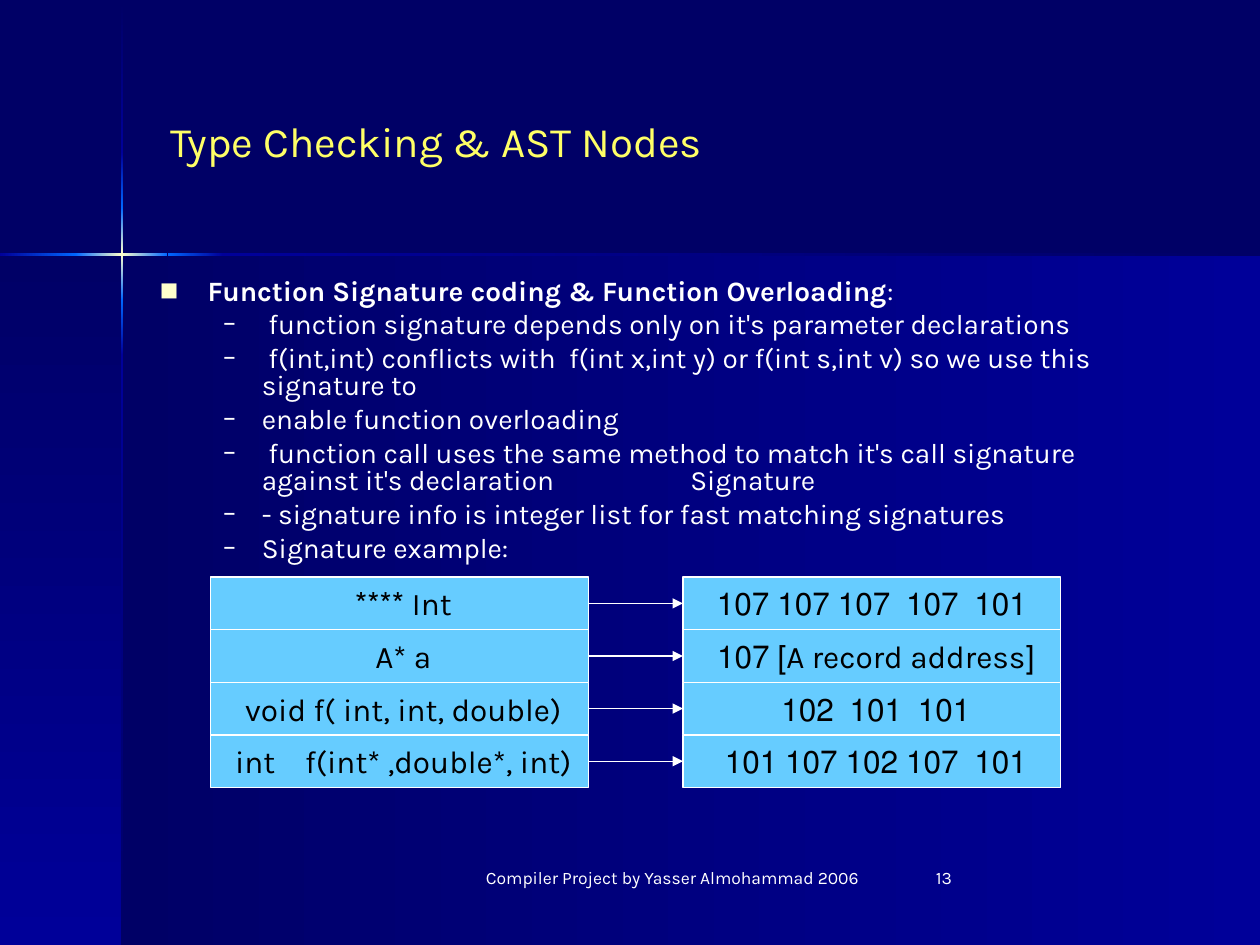
from dataclasses import dataclass
from typing import NamedTuple

from lxml.etree import SubElement
from pptx import Presentation
from pptx.dml.color import RGBColor
from pptx.enum.shapes import MSO_CONNECTOR, MSO_SHAPE
from pptx.enum.text import MSO_ANCHOR, PP_ALIGN
from pptx.oxml.ns import qn
from pptx.util import Inches, Pt


@dataclass(frozen=True)
class Theme:
    font: str = "Karla"
    navy: str = "000066"
    blue: str = "000099"
    bright: str = "0066FF"
    cream: str = "FFFFCC"
    yellow: str = "FFFF66"
    sky: str = "66CCFF"
    white: str = "FFFFFF"
    black: str = "000000"
    title_size: int = 24
    cell_size: int = 18
    body_size: int = 16
    footer_size: int = 10


THEME = Theme()


class Band(NamedTuple):
    left: float
    top: float
    width: float
    height: float
    colors: tuple
    angle: int


class Bullet(NamedTuple):
    text: str
    level: int = 1
    bold_part: str = ""


class Mapping(NamedTuple):
    declaration: str
    signature: str


class Footer(NamedTuple):
    text: str
    left: float
    width: float
    alignment: PP_ALIGN


GLOW = (THEME.bright, THEME.cream, THEME.bright)
DEEPEN = (THEME.blue, THEME.navy)
LIGHTEN = (THEME.navy, THEME.blue)
FADE_OUT = (THEME.bright, THEME.blue)
FADE_IN = (THEME.blue, THEME.bright)

BANDS = [
    Band(0.97, 2.02, 9.03, 5.48, DEEPEN, 180),
    Band(0, 2.02, 0.97, 5.48, LIGHTEN, 90),
    Band(0.96, 0.01, 0.02, 1.2, LIGHTEN, 90),
    Band(0.96, 2.82, 0.02, 4.68, DEEPEN, 90),
    Band(1.77, 2.01, 8.23, 0.02, LIGHTEN, 180),
    Band(0.96, 2.38, 0.02, 0.44, FADE_OUT, 90),
    Band(0.96, 1.21, 0.02, 0.44, FADE_IN, 90),
    Band(0.96, 1.65, 0.02, 0.73, GLOW, 90),
    Band(0, 2.01, 0.61, 0.02, FADE_OUT, 180),
    Band(1.33, 2.01, 0.44, 0.02, FADE_IN, 180),
    Band(0.6, 2.01, 0.73, 0.02, GLOW, 180),
]

BULLETS = [
    Bullet(":", 0, "Function Signature coding & Function Overloading"),
    Bullet(" function signature depends only on it's parameter declarations"),
    Bullet(" f(int,int) conflicts with  f(int x,int y) or f(int s,int v) so we use this signature to"),
    Bullet("enable function overloading"),
    Bullet(" function call uses the same method to match it's call signature against it's declaration \tSignature"),
    Bullet("- signature info is integer list for fast matching signatures"),
    Bullet("Signature example:"),
]

MAPPINGS = [
    Mapping("Int **** ", " 101  107  107 107 107 "),
    Mapping("A* a ", "[A record address] 107 "),
    Mapping("void f( int, int, double) ", "101  101  102 "),
    Mapping("int    f(int* ,double*, int) ", "101  107 102 107 101 "),
]

FOOTERS = [
    Footer("Compiler Project by Yasser Almohammad 2006", 3.75, 3.17, PP_ALIGN.CENTER),
    Footer("13", 7.33, 2.08, PP_ALIGN.LEFT),
]

TABLE_TOP = 4.58
ROW_HEIGHT = 1.67 / 4
CELL_WIDTH = 3
DECLARATION_LEFT = 1.67
SIGNATURE_LEFT = 5.42


def format_runs(paragraph, size: int, color: str) -> None:
    for run in paragraph.runs:
        run.font.name = THEME.font
        run.font.size = Pt(size)
        run.font.color.rgb = RGBColor.from_string(color)


def add_band(slide, band: Band) -> None:
    shape = slide.shapes.add_shape(MSO_SHAPE.RECTANGLE, *(Inches(value) for value in band[:4]))
    shape.shadow.inherit = False
    shape.line.fill.background()
    shape.fill.gradient()
    shape.fill.gradient_angle = 360 - band.angle
    stops = shape.element.spPr.find(".//" + qn("a:gsLst"))
    for stop in list(stops):
        stops.remove(stop)
    for index, color in enumerate(band.colors):
        position = 100000 * index // (len(band.colors) - 1)
        stop = SubElement(stops, qn("a:gs"), pos=str(position))
        SubElement(stop, qn("a:srgbClr"), val=color)


def format_title(slide) -> None:
    title = slide.shapes.title
    title.left, title.top = Inches(1.25), Inches(0.58)
    title.width, title.height = Inches(8.25), Inches(1.08)
    frame = title.text_frame
    frame.text = "Type Checking & AST Nodes"
    frame.vertical_anchor = MSO_ANCHOR.MIDDLE
    frame.paragraphs[0].alignment = PP_ALIGN.LEFT
    format_runs(frame.paragraphs[0], THEME.title_size, THEME.yellow)


def set_bullet(paragraph, level: int) -> None:
    margin, indent, symbol, color, percent = [
        (0.38, -0.38, "■", THEME.cream, 70),
        (0.81, -0.31, "–", THEME.white, 100),
    ][level]
    paragraph.level = level
    properties = paragraph._p.get_or_add_pPr()
    properties.set("marL", str(Inches(margin)))
    properties.set("indent", str(Inches(indent)))
    bullet_color = SubElement(properties, qn("a:buClr"))
    SubElement(bullet_color, qn("a:srgbClr"), val=color)
    SubElement(properties, qn("a:buSzPct"), val=str(percent * 1000))
    SubElement(properties, qn("a:buFont"), typeface=THEME.font)
    SubElement(properties, qn("a:buChar"), char=symbol)
    tabs = SubElement(properties, qn("a:tabLst"))
    SubElement(tabs, qn("a:tab"), pos=str(Inches(4.21)), algn="l")


def add_bullets(slide, bullets: list[Bullet]) -> None:
    box = slide.shapes.add_textbox(Inches(1.17), Inches(2.17), Inches(8.25), Inches(2.58))
    frame = box.text_frame
    frame.word_wrap = True
    for index, bullet in enumerate(bullets):
        paragraph = frame.add_paragraph() if index else frame.paragraphs[0]
        paragraph.line_spacing = 0.8
        paragraph.space_before = Pt(4)
        set_bullet(paragraph, bullet.level)
        if bullet.bold_part:
            run = paragraph.add_run()
            run.text = bullet.bold_part
            run.font.bold = True
        paragraph.add_run().text = bullet.text
        format_runs(paragraph, THEME.body_size, THEME.white)


def add_cell(slide, text: str, left: float, top: float):
    shape = slide.shapes.add_shape(
        MSO_SHAPE.RECTANGLE, Inches(left), Inches(top), Inches(CELL_WIDTH), Inches(ROW_HEIGHT))
    shape.shadow.inherit = False
    shape.fill.solid()
    shape.fill.fore_color.rgb = RGBColor.from_string(THEME.sky)
    shape.line.color.rgb = RGBColor.from_string(THEME.white)
    shape.line.width = Pt(0.75)
    frame = shape.text_frame
    frame.text = text
    frame.word_wrap = False
    frame.vertical_anchor = MSO_ANCHOR.MIDDLE
    paragraph = frame.paragraphs[0]
    paragraph.alignment = PP_ALIGN.CENTER
    paragraph._p.get_or_add_pPr().set("rtl", "1")
    format_runs(paragraph, THEME.cell_size, THEME.black)
    return shape


def add_arrow(slide, source, target) -> None:
    connector = slide.shapes.add_connector(MSO_CONNECTOR.CURVE, 0, 0, 0, 0)
    connector.begin_connect(source, 3)
    connector.end_connect(target, 1)
    connector.line.color.rgb = RGBColor.from_string(THEME.white)
    connector.line.width = Pt(0.75)
    SubElement(connector.line._get_or_add_ln(), qn("a:tailEnd"), type="triangle")
    SubElement(connector.element.spPr, qn("a:effectLst"))


def add_footer(slide, footer: Footer) -> None:
    box = slide.shapes.add_textbox(
        Inches(footer.left), Inches(6.83), Inches(footer.width), Inches(0.5))
    box.text_frame.word_wrap = True
    box.text_frame.text = footer.text
    paragraph = box.text_frame.paragraphs[0]
    paragraph.alignment = footer.alignment
    format_runs(paragraph, THEME.footer_size, THEME.white)


def main() -> None:
    presentation = Presentation()
    presentation.slide_width, presentation.slide_height = Inches(10), Inches(7.5)
    slide = presentation.slides.add_slide(presentation.slide_layouts[5])
    slide.background.fill.solid()
    slide.background.fill.fore_color.rgb = RGBColor.from_string(THEME.navy)
    for band in BANDS:
        add_band(slide, band)
    format_title(slide)
    add_bullets(slide, BULLETS)
    for row, mapping in enumerate(MAPPINGS):
        top = TABLE_TOP + row * ROW_HEIGHT
        declaration = add_cell(slide, mapping.declaration, DECLARATION_LEFT, top)
        signature = add_cell(slide, mapping.signature, SIGNATURE_LEFT, top)
        add_arrow(slide, declaration, signature)
    for footer in FOOTERS:
        add_footer(slide, footer)
    presentation.save("out.pptx")


if __name__ == "__main__":
    main()
